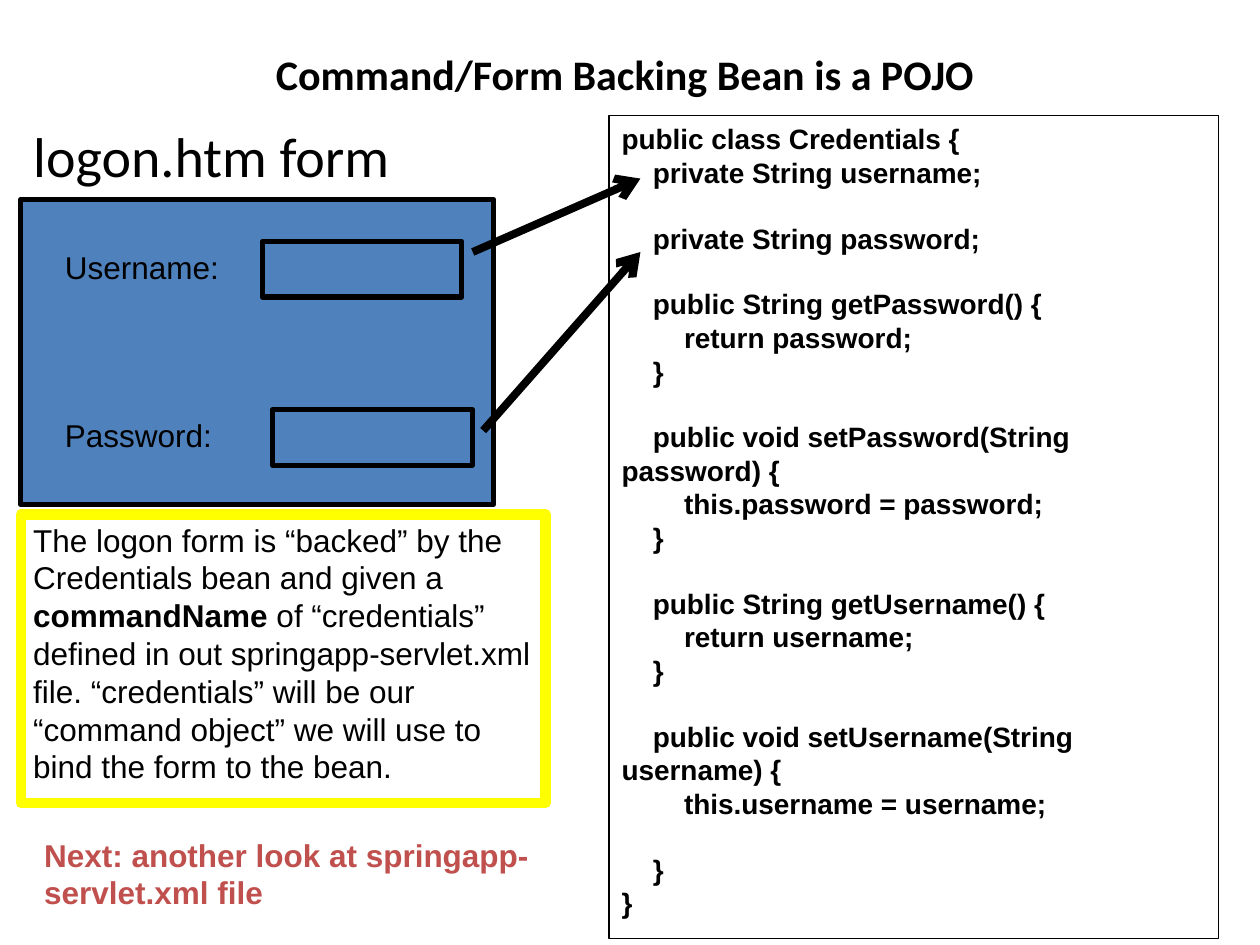
from lxml.etree import SubElement
from pptx import Presentation
from pptx.dml.color import RGBColor
from pptx.enum.shapes import MSO_CONNECTOR, MSO_SHAPE
from pptx.enum.text import MSO_ANCHOR as Anchor, PP_ALIGN as Align
from pptx.oxml.ns import qn
from pptx.util import Cm, Pt

BLACK = RGBColor(0x00, 0x00, 0x00)
BLUE = RGBColor(0x4F, 0x81, 0xBD)
YELLOW = RGBColor(0xFF, 0xFF, 0x00)
RED = RGBColor(0xC0, 0x50, 0x4D)

TITLE = "Command/Form Backing Bean is a POJO"
FORM_HEADING = "logon.htm form"
# label, label width, field left, top of both
FORM_ROWS = [
    ("Username:", 3.81, 5.29, 4.87),
    ("Password:", 3.6, 5.5, 8.26),
]
NOTE = [
    ("The logon form is “backed” by the Credentials bean and given a ", False),
    ("commandName", True),
    (" of “credentials” defined in out springapp-servlet.xml file. "
     "“credentials” will be our “command object” we will use to bind "
     "the form to the bean.", False),
]
NEXT_STEP = "Next: another look at springapp-servlet.xml file"
# indent level, code; each group is set off by one line of space
CODE_GROUPS = [
    [(0, "public class Credentials {"), (1, "private String username;")],
    [(1, "private String password;")],
    [(1, "public String getPassword() {"), (2, "return password;"), (1, "}")],
    [(1, "public void setPassword(String password) {"),
     (2, "this.password = password;"), (1, "}")],
    [(1, "public String getUsername() {"), (2, "return username;"), (1, "}")],
    [(1, "public void setUsername(String username) {"),
     (2, "this.username = username;")],
    [(1, "}"), (0, "}")],
]
ARROWS = [(9.53, 5.08, 12.91, 3.6), (9.74, 8.68, 12.91, 5.08)]
CODE_INDENT = Cm(0.63)
CODE_GAP = Pt(18.4)


def set_font(paragraph, size, name="Arial", color=BLACK, bold=False):
    font = paragraph.font
    font.size, font.name, font.bold = Pt(size), name, bold
    font.color.rgb = color


def add_box(page, place, line, width, fill=None):
    box = page.shapes.add_shape(MSO_SHAPE.RECTANGLE, *map(Cm, place))
    box.shadow.inherit = False
    if fill is None:
        box.fill.background()
    else:
        box.fill.solid()
        box.fill.fore_color.rgb = fill
    box.line.color.rgb = line
    box.line.width = Pt(width)
    frame = box.text_frame
    frame.word_wrap = True
    frame.vertical_anchor = Anchor.TOP
    frame.paragraphs[0].alignment = Align.LEFT
    return frame


def add_text(page, place, text, size=18, **style):
    frame = page.shapes.add_textbox(*map(Cm, place)).text_frame
    frame.word_wrap = True
    frame.text = text
    set_font(frame.paragraphs[0], size, **style)


def add_code(frame):
    paragraph = frame.paragraphs[0]
    for group_number, group in enumerate(CODE_GROUPS):
        for line_number, (level, code) in enumerate(group):
            if group_number or line_number:
                paragraph = frame.add_paragraph()
            paragraph.text = code
            paragraph.alignment = Align.LEFT
            set_font(paragraph, 16, bold=True)
            if group_number and not line_number:
                paragraph.space_before = CODE_GAP
            # First-line indent only: wrapped code returns to the margin
            properties = paragraph._p.get_or_add_pPr()
            properties.set("marL", "0")
            properties.set("indent", str(level * CODE_INDENT))


def add_arrow(page, ends):
    arrow = page.shapes.add_connector(MSO_CONNECTOR.STRAIGHT, *map(Cm, ends))
    arrow.line.color.rgb = BLACK
    arrow.line.width = Pt(4.5)
    SubElement(arrow.line._get_or_add_ln(), qn("a:tailEnd"), type="arrow")
    SubElement(arrow._element.spPr, qn("a:effectLst"))


def main():
    deck = Presentation()
    deck.slide_width, deck.slide_height = Cm(25.4), Cm(19.05)
    page = deck.slides.add_slide(deck.slide_layouts[5])

    title = page.shapes.title
    title.left, title.top, title.width, title.height = map(
        Cm, (1.27, 0.64, 22.66, 1.7))
    title.text_frame.text = TITLE
    title.text_frame.vertical_anchor = Anchor.MIDDLE
    heading = title.text_frame.paragraphs[0]
    heading.alignment = Align.CENTER
    set_font(heading, 24, name="Calibri", bold=True)

    add_text(page, (0.42, 2.33, 23.7, 14.68), FORM_HEADING, 32, name="Calibri")
    add_box(page, (0.42, 4.02, 9.53, 6.15), BLACK, 3, BLUE)
    for label, label_width, field_left, top in FORM_ROWS:
        add_text(page, (1.06, top, label_width, 1.02), label)
        add_box(page, (field_left, top, 4.02, 1.12), BLACK, 3)

    add_code(add_box(page, (12.28, 2.33, 12.28, 16.59), BLACK, 0.75))

    note = add_box(page, (0.42, 10.37, 10.58, 5.82), YELLOW, 6).paragraphs[0]
    set_font(note, 18)
    for text, bold in NOTE:
        span = note.add_run()
        span.text = text
        span.font.bold = bold
        span.font.color.rgb = BLACK

    for ends in ARROWS:
        add_arrow(page, ends)
    add_text(page, (0.64, 16.72, 10.58, 1.78), NEXT_STEP, color=RED, bold=True)

    deck.save("out.pptx")


if __name__ == "__main__":
    main()
